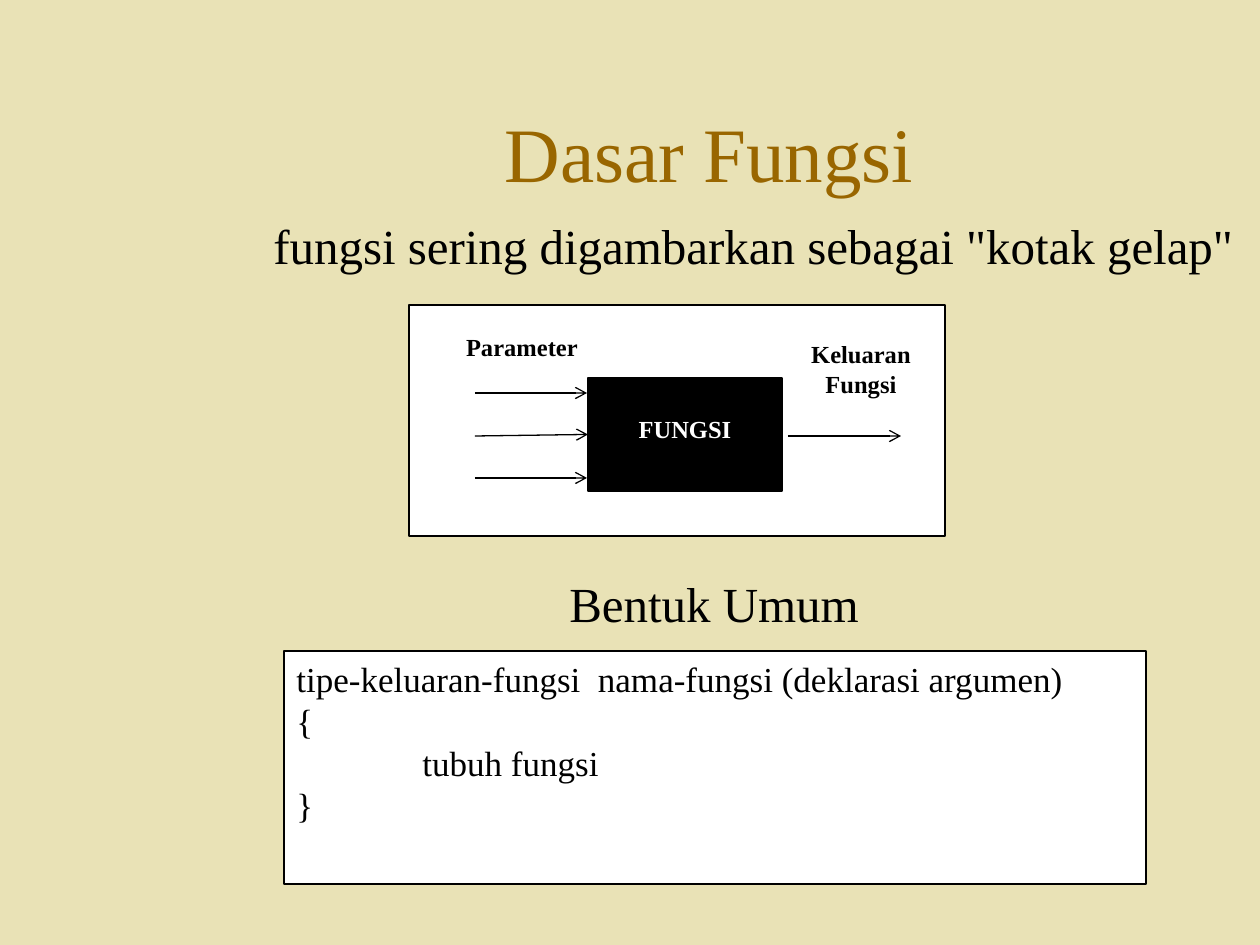
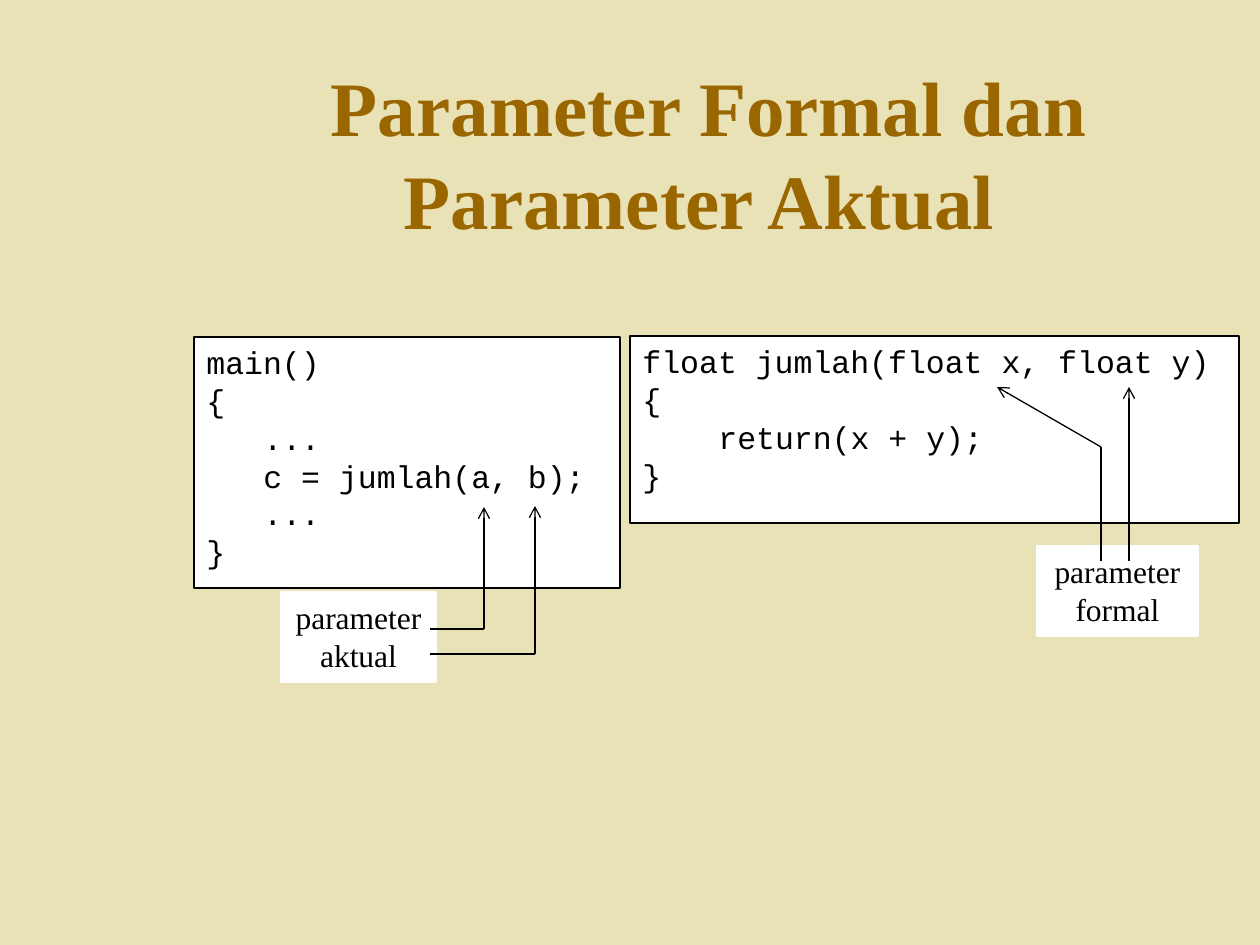
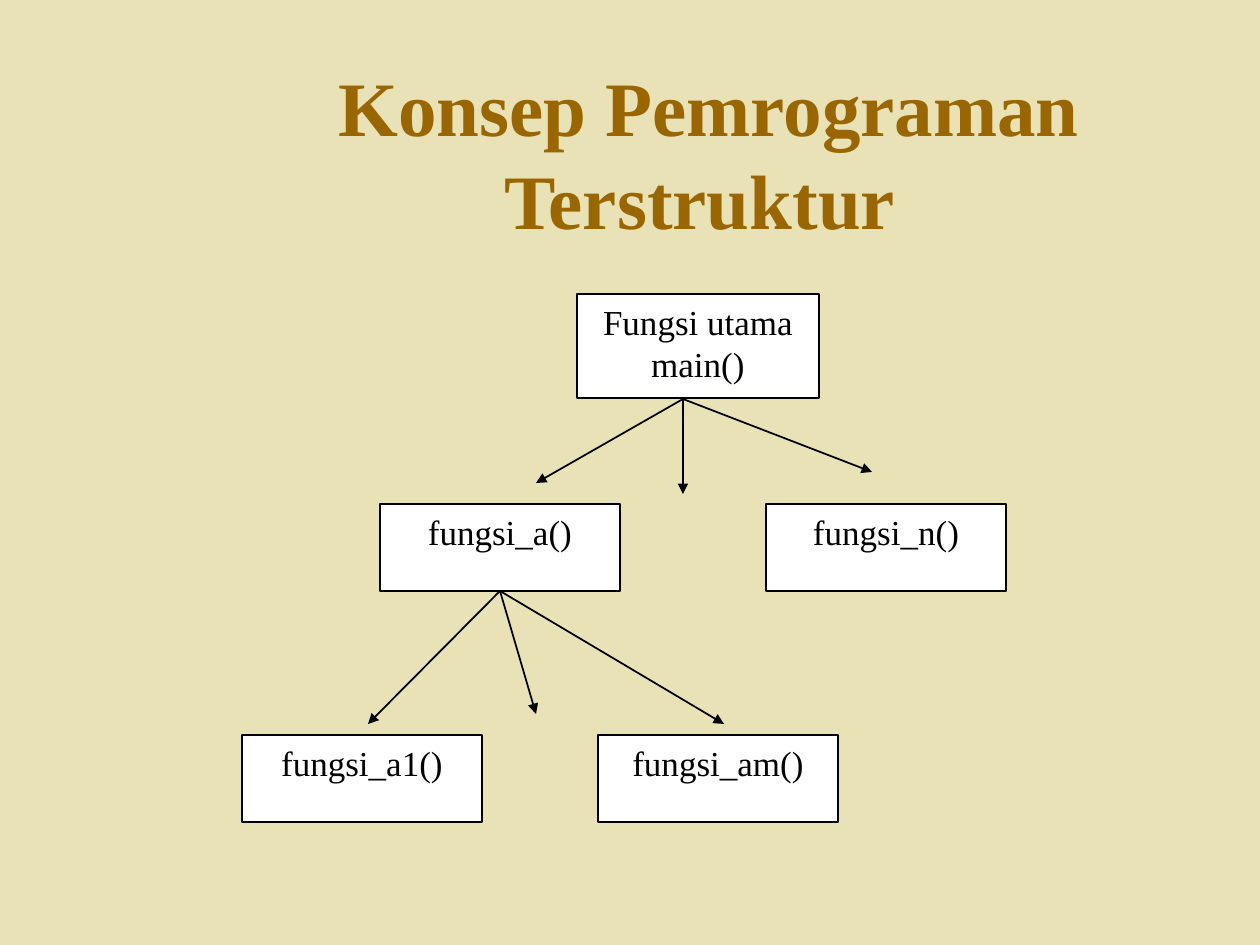
from lxml.etree import SubElement
from pptx import Presentation
from pptx.dml.color import RGBColor
from pptx.enum.shapes import MSO_CONNECTOR as CONNECTOR, MSO_SHAPE as SHAPE
from pptx.enum.text import MSO_ANCHOR as ANCHOR, PP_ALIGN as ALIGN
from pptx.oxml.ns import qn
from pptx.util import Emu, Pt

SAND = RGBColor(0xE9, 0xE2, 0xB6)
BROWN = RGBColor(0x99, 0x66, 0x00)
BLACK = RGBColor(0, 0, 0)
WHITE = RGBColor(0xFF, 0xFF, 0xFF)
SERIF = "Times New Roman"
MONO = "Courier New"


def px(length):
    return Emu(round(length * 914400 / 126))


class Lecture:
    def __init__(self):
        self.deck = Presentation()
        self.deck.slide_width, self.deck.slide_height = px(1260), px(945)
        self.page = None

    def new_page(self, title, bold=True):
        self.page = self.deck.slides.add_slide(self.deck.slide_layouts[6])
        fill = self.page.background.fill
        fill.solid()
        fill.fore_color.rgb = SAND
        box = self.text(189, 73, 1040, 158, title, 44, BROWN, bold, ALIGN.CENTER)
        box.text_frame.word_wrap = True
        box.text_frame.vertical_anchor = ANCHOR.MIDDLE

    def set_words(self, box, words, size, color=BLACK, bold=False, align=ALIGN.LEFT, font=SERIF):
        box.text_frame.text = words
        for para in box.text_frame.paragraphs:
            para.alignment = align
            for span in para.runs:
                span.font.name = font
                span.font.size = Pt(size)
                span.font.bold = bold
                span.font.color.rgb = color

    def text(self, left, top, width, height, words, size, color=BLACK, bold=False, align=ALIGN.LEFT):
        box = self.page.shapes.add_textbox(px(left), px(top), px(width), px(height))
        box.text_frame.word_wrap = False
        self.set_words(box, words, size, color, bold, align)
        return box

    def panel(self, left, top, width, height, fill=WHITE, line=BLACK):
        box = self.page.shapes.add_shape(SHAPE.RECTANGLE, px(left), px(top), px(width), px(height))
        box.shadow.inherit = False
        box.fill.solid()
        box.fill.fore_color.rgb = fill
        box.line.color.rgb = line
        box.line.width = Pt(0.75)
        box.text_frame.word_wrap = True
        box.text_frame.vertical_anchor = ANCHOR.TOP
        return box

    def label(self, left, top, width, height, words, size, bold=False, line=WHITE):
        box = self.panel(left, top, width, height, line=line)
        self.set_words(box, words, size, bold=bold, align=ALIGN.CENTER)
        return box

    def code(self, left, top, width, height, words, indent, size=18, font=MONO):
        box = self.panel(left, top, width, height)
        self.set_words(box, words, size, font=font)
        inside = False
        for para in box.text_frame.paragraphs:
            inside = inside and para.text != "}"
            if inside:
                para._p.get_or_add_pPr().set("marL", str(px(indent)))
            inside = inside or para.text == "{"

    def line(self, start, end, tip=None, width=0.75):
        link = self.page.shapes.add_connector(CONNECTOR.STRAIGHT, *map(px, start + end))
        link.line.color.rgb = BLACK
        link.line.width = Pt(width)
        properties = link._element.spPr
        if tip:
            SubElement(properties.get_or_add_ln(), qn("a:tailEnd"), type=tip)
        SubElement(properties, qn("a:effectLst"))
        return link

    def fan(self, start, ends, parent=None):
        for end in ends:
            link = self.line(start, end, "triangle", 1)
            if parent:
                link.begin_connect(parent, 2)


def function_basics(lecture):
    lecture.new_page("Dasar Fungsi", bold=False)
    lecture.panel(409, 305, 536, 231)
    black_box = lecture.panel(588, 378, 194, 113, fill=BLACK)
    black_box.text_frame.margin_top = px(36)
    lecture.set_words(black_box, "FUNGSI", 14, WHITE, True, ALIGN.CENTER)
    lecture.label(452, 326, 140, 48, "Parameter", 14, True)
    lecture.label(793, 333, 136, 83, "Keluaran\nFungsi", 14, True)
    for height in (393, 436, 478):
        arrow = lecture.line((475, height), (587, height), "arrow")
        if height == 436:
            arrow.end_connect(black_box, 1)
    lecture.line((788, 436), (901, 436), "arrow")
    lecture.code(284, 651, 862, 233,
                 "tipe-keluaran-fungsi  nama-fungsi (deklarasi argumen)\n{\ntubuh fungsi\n}",
                 indent=126, size=20, font=SERIF)
    lecture.text(557, 567, 315, 72, "Bentuk Umum", 28)
    lecture.text(261, 209, 997, 72, 'fungsi sering digambarkan sebagai "kotak gelap"', 28)


def parameters(lecture):
    lecture.new_page("Parameter Formal dan Parameter Aktual ")
    lecture.code(194, 337, 426, 251, "main()\n{\n...\nc = jumlah(a, b);\n...\n}", indent=57)
    lecture.code(630, 336, 609, 187,
                 "float jumlah(float x, float y)\n{\nreturn(x + y);\n}", indent=76)
    lecture.label(281, 592, 155, 90, "parameter aktual", 18)
    lecture.label(1037, 546, 161, 90, "parameter formal", 18)
    for across, tip, level in ((484, 507, 629), (535, 506, 654)):
        lecture.line((430, level), (across, level))
        lecture.line((across, level), (across, tip), "arrow")
    lecture.line((1129, 561), (1129, 387), "arrow")
    lecture.line((1101, 561), (1101, 447))
    lecture.line((1101, 447), (997, 387), "arrow")


def structured_programming(lecture):
    lecture.new_page("Konsep Pemrograman Terstruktur ")
    lecture.label(577, 294, 242, 104, "Fungsi utama\nmain()", 20, line=BLACK)
    functions = {
        name: lecture.label(left, top, 240, 87, name, 20, line=BLACK)
        for name, left, top in (
            ("fungsi_a()", 380, 504),
            ("fungsi_n()", 766, 504),
            ("fungsi_a1()", 242, 735),
            ("fungsi_am()", 598, 735),
        )
    }
    lecture.fan((683, 399), ((536, 483), (872, 472), (683, 494)))
    lecture.fan((504, 588), ((368, 724), (536, 714), (724, 724)), functions["fungsi_a()"])


def main():
    lecture = Lecture()
    function_basics(lecture)
    parameters(lecture)
    structured_programming(lecture)
    lecture.deck.save("out.pptx")


if __name__ == "__main__":
    main()
